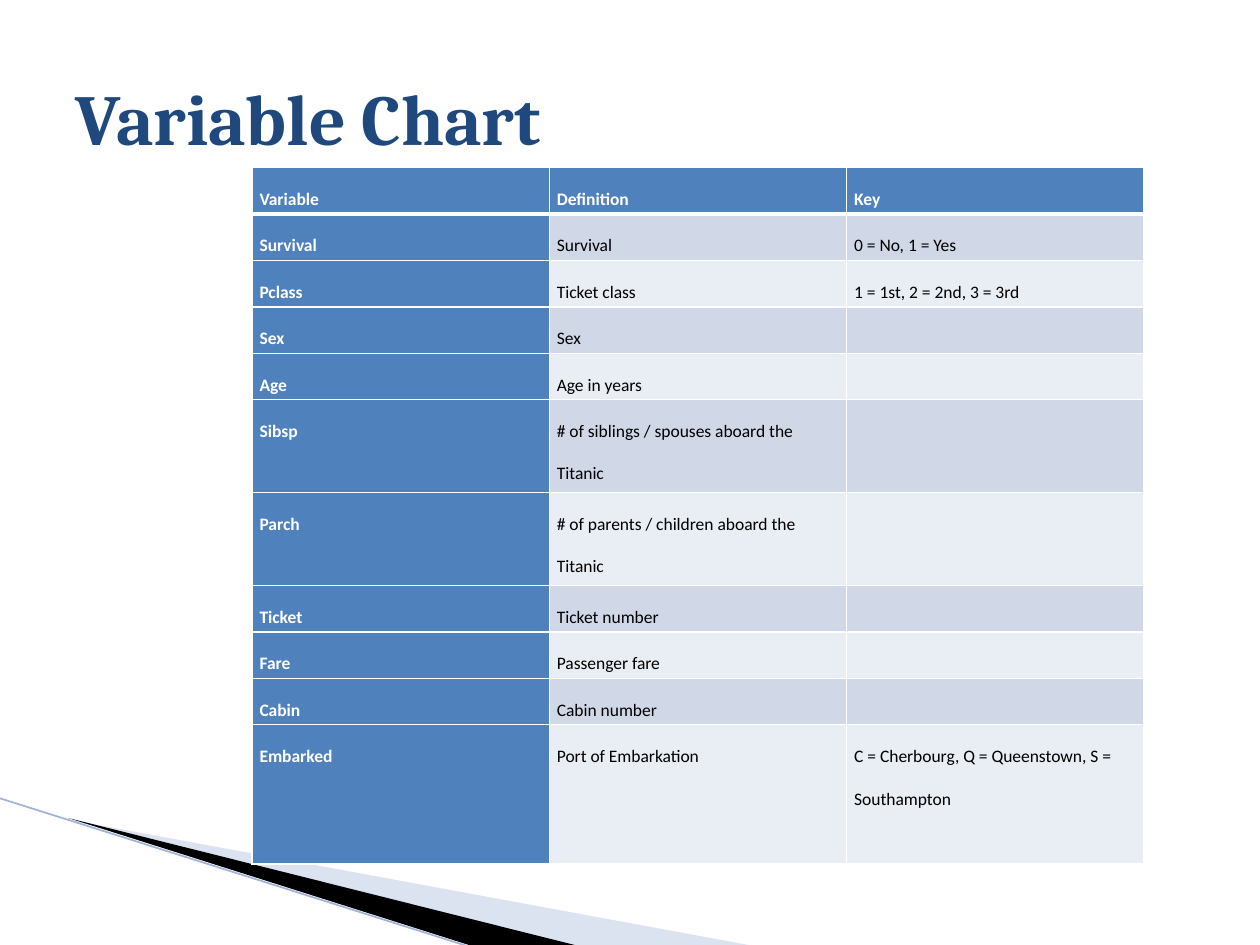
from lxml import etree
from pptx import Presentation
from pptx.dml.color import RGBColor
from pptx.enum.shapes import MSO_CONNECTOR
from pptx.enum.text import MSO_ANCHOR
from pptx.oxml.ns import qn
from pptx.util import Inches, Pt

STRAIGHT = MSO_CONNECTOR.STRAIGHT
MIDDLE = MSO_ANCHOR.MIDDLE

WHITE = RGBColor(0xFF, 0xFF, 0xFF)
BLACK = RGBColor(0, 0, 0)
NAVY = RGBColor(0x1F, 0x49, 0x7D)
BLUE = RGBColor(0x4F, 0x81, 0xBD)
BAND_DARK = RGBColor(0xD0, 0xD8, 0xE8)
BAND_LIGHT = RGBColor(0xE9, 0xED, 0xF4)
SWOOSH = RGBColor(0xA7, 0xB9, 0xDB)
SWOOSH_LINE = RGBColor(0x9E, 0xB3, 0xD6)

WIDTH, HEIGHT = Inches(10), Inches(7.5)

# Each row: variable, definition, key, height in row units
ROWS = [
    ("Variable", "Definition", "Key", 1),
    ("Survival", "Survival", "0 = No, 1 = Yes", 1),
    ("Pclass", "Ticket class", "1 = 1st, 2 = 2nd, 3 = 3rd", 1),
    ("Sex", "Sex", "", 1),
    ("Age", "Age in years", "", 1),
    ("Sibsp", "# of siblings / spouses aboard the Titanic", "", 2),
    ("Parch", "# of parents / children aboard the Titanic", "", 2),
    ("Ticket", "Ticket number", "", 1),
    ("Fare", "Passenger fare", "", 1),
    ("Cabin", "Cabin number", "", 1),
    ("Embarked", "Port of Embarkation",
     "C = Cherbourg, Q = Queenstown, S = Southampton", 3),
]


def slide_box(left, top, width, height):
    """Box in EMU from percentages of the slide's size."""
    return (int(WIDTH * left / 100), int(HEIGHT * top / 100),
            int(WIDTH * width / 100), int(HEIGHT * height / 100))


def format_run(r, size, font, color, bold):
    r.font.size = Pt(size)
    r.font.name = font
    r.font.color.rgb = color
    r.font.bold = bold


def add_wedge(s, points, color, alpha=None):
    fb = s.shapes.build_freeform(*points[0], scale=1.0)
    fb.add_line_segments(points[1:], close=True)
    sp = fb.convert_to_shape()
    sp.shadow.inherit = False
    sp.line.fill.background()
    sp.fill.solid()
    sp.fill.fore_color.rgb = color
    if alpha is not None:
        clr = sp.fill._xPr.find(".//" + qn("a:srgbClr"))
        etree.SubElement(clr, qn("a:alpha"), val=str(alpha * 1000))


def add_corner_swoosh(s, box):
    left, top, width, height = box

    def at(x, y):
        return int(left + x * width), int(top + y * height)

    add_wedge(s, [at(0.09, 0.17), at(0.99, 1), at(0.76, 1)], SWOOSH, alpha=40)
    add_wedge(s, [at(0.09, 0.16), at(0.76, 1), at(0.62, 1)], BLACK)
    edge = s.shapes.add_connector(STRAIGHT, *at(0, 0.03), *at(0.62, 1.01))
    edge.line.color.rgb = SWOOSH_LINE
    edge.line.width = Pt(0.95)
    etree.SubElement(edge._element.spPr, qn("a:effectLst"))


def set_borders(cell, top, bottom):
    tcPr = cell._tc.get_or_add_tcPr()
    for side, width in (("L", 1), ("R", 1), ("T", top), ("B", bottom)):
        ln = etree.SubElement(tcPr, qn("a:ln" + side), w=str(Pt(width)))
        fill = etree.SubElement(ln, qn("a:solidFill"))
        etree.SubElement(fill, qn("a:srgbClr"), val=str(WHITE))


def fill_cell(cell, text, row, col):
    heading = row == 0 or col == 0
    set_borders(cell, 3 if row == 1 else 1, 3 if row == 0 else 1)
    cell.fill.solid()
    band = BAND_DARK if row % 2 else BAND_LIGHT
    cell.fill.fore_color.rgb = BLUE if heading else band
    cell.margin_left = cell.margin_right = Inches(0.06)
    cell.margin_top = cell.margin_bottom = 0
    if not text:
        return
    p = cell.text_frame.paragraphs[0]
    p.text = text
    p.line_spacing = 2.0
    p.space_after = Pt(8)
    format_run(p.runs[0], 10, "Calibri", WHITE if heading else BLACK, heading)


def add_variable_table(s, box):
    columns = len(ROWS[0]) - 1
    table = s.shapes.add_table(len(ROWS), columns, *box).table
    unit = box[3] / sum(row[-1] for row in ROWS)
    for column in table.columns:
        column.width = box[2] // columns
    for i, (*texts, units) in enumerate(ROWS):
        table.rows[i].height = int(unit * units)
        for j, text in enumerate(texts):
            fill_cell(table.cell(i, j), text, i, j)


def add_title(s, box):
    tf = s.shapes.add_textbox(*box).text_frame
    tf.word_wrap = True
    tf.vertical_anchor = MIDDLE
    tf.text = "Variable Chart"
    format_run(tf.paragraphs[0].runs[0], 41, "Cambria", NAVY, True)


def main():
    prs = Presentation()
    prs.slide_width, prs.slide_height = WIDTH, HEIGHT
    s = prs.slides.add_slide(prs.slide_layouts[6])
    add_corner_swoosh(s, slide_box(0, 84, 60, 16))
    add_variable_table(s, slide_box(20, 17.73, 70.8, 73.73))
    add_title(s, slide_box(5, 4, 90, 16.67))
    prs.save("out.pptx")


if __name__ == "__main__":
    main()
